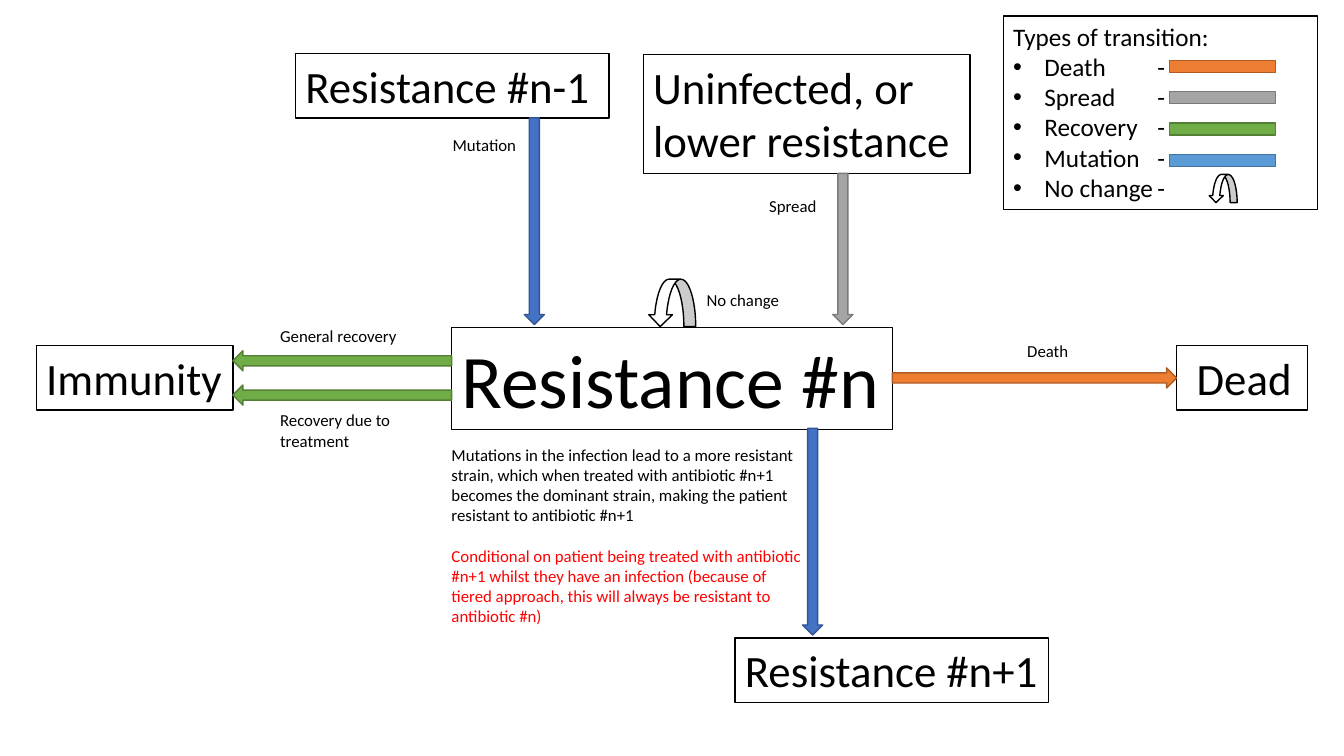
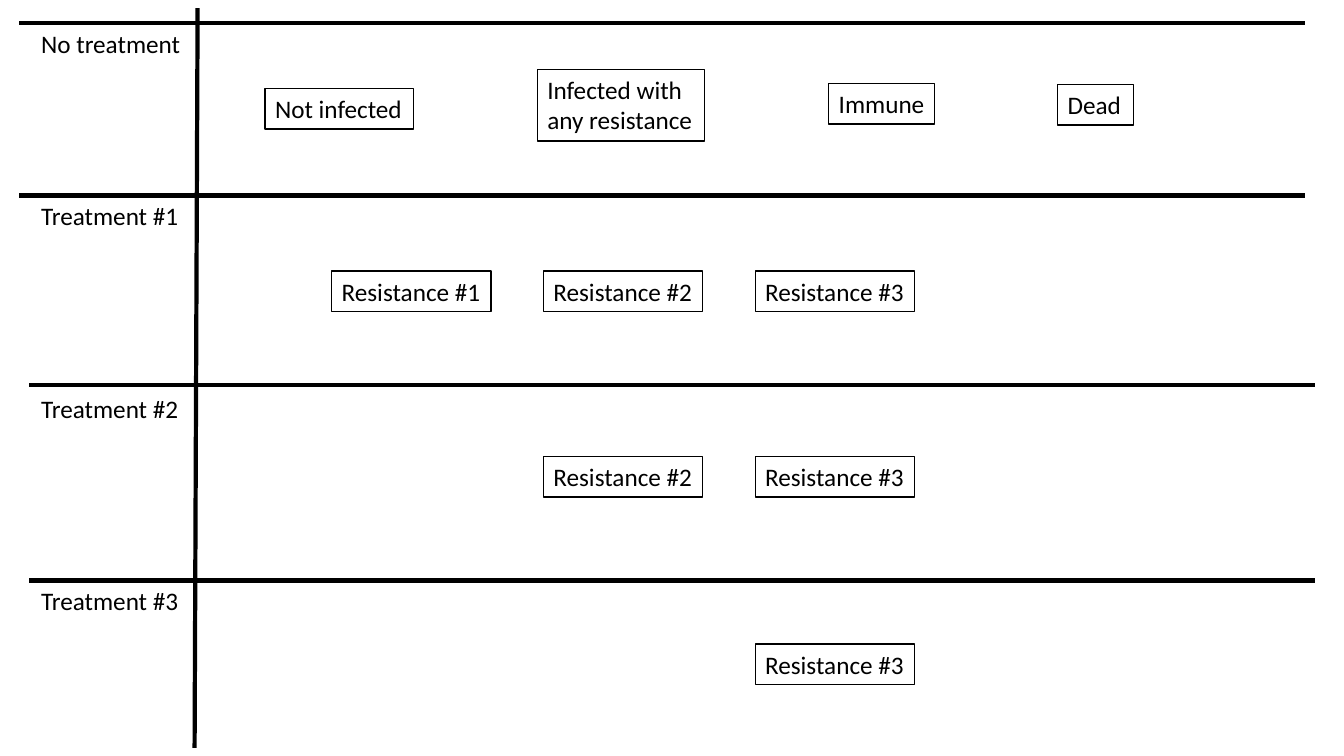
from lxml import etree
from pptx import Presentation
from pptx.dml.color import RGBColor
from pptx.enum.shapes import MSO_CONNECTOR, MSO_SHAPE
from pptx.enum.text import MSO_ANCHOR, MSO_AUTO_SIZE, PP_ALIGN
from pptx.oxml.ns import qn
from pptx.util import Inches, Pt

RECTANGLE = MSO_SHAPE.RECTANGLE
DOWN, LEFT, RIGHT = MSO_SHAPE.DOWN_ARROW, MSO_SHAPE.LEFT_ARROW, MSO_SHAPE.RIGHT_ARROW
LOOP = MSO_SHAPE.CURVED_RIGHT_ARROW
STRAIGHT = MSO_CONNECTOR.STRAIGHT
TOP = MSO_ANCHOR.TOP
GROW = MSO_AUTO_SIZE.SHAPE_TO_FIT_TEXT
ALIGN_LEFT = PP_ALIGN.LEFT

FONT = "Calibri"
COLOURS = {
    "black": "000000", "white": "FFFFFF", "red": "FF0000",
    "death": "ED7D31", "death line": "AF5C24",
    "spread": "A5A5A5", "spread line": "7A7A7A",
    "recovery": "70AD47", "recovery line": "538035",
    "mutation": "4472C4", "mutation line": "325491",
    "mutation key": "5B9BD5", "mutation key line": "43739E",
}


def colour(name):
    return RGBColor.from_string(COLOURS[name])


# Text
def add_text(paragraph, text, size, colour_name="black"):
    paragraph.alignment = ALIGN_LEFT
    run = paragraph.add_run()
    run.text = text
    run.font.name = FONT
    run.font.size = Pt(size)
    run.font.color.rgb = colour(colour_name)


def add_bullet(paragraph, indent, tab):
    properties = paragraph._p.get_or_add_pPr()
    properties.set("marL", str(Inches(indent)))
    properties.set("indent", str(-Inches(indent)))
    etree.SubElement(properties, qn("a:buFont"), typeface="Arial")
    etree.SubElement(properties, qn("a:buChar"), char="•")
    tabs = etree.SubElement(properties, qn("a:tabLst"))
    etree.SubElement(tabs, qn("a:tab"), pos=str(Inches(tab)), algn="l")


def add_label(slide, text, left, top, width, height=0.3, size=12):
    shape = slide.shapes.add_textbox(*map(Inches, (left, top, width, height)))
    frame = shape.text_frame
    frame.word_wrap = True
    frame.auto_size = GROW
    add_text(frame.paragraphs[0], text, size)
    return frame


# Shapes
def add_filled(slide, kind, left, top, width, height, fill="white", line="black"):
    shape = slide.shapes.add_shape(kind, *map(Inches, (left, top, width, height)))
    shape.shadow.inherit = False
    shape.fill.solid()
    shape.fill.fore_color.rgb = colour(fill)
    shape.line.color.rgb = colour(line)
    shape.line.width = Pt(1)
    return shape


def add_box(slide, text, left, top, width, height, size):
    frame = add_filled(slide, RECTANGLE, left, top, width, height).text_frame
    frame.word_wrap = True
    frame.auto_size = GROW
    frame.vertical_anchor = TOP
    frame.margin_right = 0
    add_text(frame.paragraphs[0], text, size)
    return frame


def add_transition(slide, kind, name, left, top, width, height):
    add_filled(slide, kind, left, top, width, height, name, name + " line")


def add_loop(slide, left, top, size):
    add_filled(slide, LOOP, left, top, size, size).rotation = 90


def add_rule(slide, start_x, start_y, end_x, end_y):
    rule = slide.shapes.add_connector(
        STRAIGHT, *map(Inches, (start_x, start_y, end_x, end_y)))
    rule.line.color.rgb = colour("black")
    rule.line.width = Pt(3)
    etree.SubElement(rule._element.spPr, qn("a:effectLst"))


# Slide 1: transitions between states
def add_legend(slide):
    frame = add_box(slide, "Types of transition:", 9.95, 0.16, 3.12, 1.92, 18)
    for entry in ("Death", "Spread", "Recovery", "Mutation", "No change"):
        paragraph = frame.add_paragraph()
        add_bullet(paragraph, indent=0.31, tab=1.43)
        add_text(paragraph, entry + "\t-", 18)
    for row, name in enumerate(("death", "spread", "recovery", "mutation key")):
        add_transition(slide, RECTANGLE, name, 11.6, 0.6 + 0.31 * row, 1.05, 0.12)
    add_loop(slide, 11.99, 1.73, 0.28)


def build_transitions(slide):
    # States
    add_box(slide, "Resistance #n", 4.48, 3.25, 4.37, 1.01, 54)
    for text, left, top, width, height in (
        ("Resistance #n+1", 7.29, 6.33, 3.11, 0.64),
        ("Resistance #n-1", 2.93, 0.53, 3.11, 0.64),
        (" Dead", 11.67, 3.43, 1.3, 0.64),
        ("Immunity", 0.36, 3.43, 1.95, 0.64),
        ("Uninfected, or lower resistance", 6.38, 0.54, 3.24, 1.18),
    ):
        add_box(slide, text, left, top, width, height, 32)

    # Arrows
    for kind, name, left, top, width, height in (
        (DOWN, "mutation", 5.2, 1.17, 0.2, 2.05),
        (DOWN, "mutation", 7.96, 4.25, 0.2, 2.05),
        (DOWN, "spread", 8.26, 1.72, 0.2, 1.5),
        (RIGHT, "death", 8.85, 3.65, 2.82, 0.2),
        (LEFT, "recovery", 2.31, 3.48, 2.17, 0.2),
        (LEFT, "recovery", 2.31, 3.82, 2.17, 0.2),
    ):
        add_transition(slide, kind, name, left, top, width, height)
    add_loop(slide, 6.43, 2.77, 0.47)

    # Arrow labels
    for text, left, top, width in (
        ("General recovery", 2.68, 3.18, 1.45),
        ("Death", 10.09, 3.33, 0.63),
        ("No change", 6.91, 2.83, 0.92),
        ("Mutation", 4.39, 1.29, 0.92),
        ("Spread", 7.53, 1.89, 0.92),
    ):
        add_label(slide, text, left, top, width)
    add_label(slide, "Recovery due to treatment", 2.68, 4.02, 1.45, 0.5)

    # Explanation
    frame = add_label(
        slide,
        "Mutations in the infection lead to a more resistant strain, which when "
        "treated with antibiotic #n+1 becomes the dominant strain, making the "
        "patient resistant to antibiotic #n+1",
        4.38, 4.36, 3.67, 1.92)
    condition = frame.add_paragraph()
    condition.space_before = Pt(14.6)
    add_text(
        condition,
        "Conditional on patient being treated with antibiotic #n+1 whilst they "
        "have an infection (because of tiered approach, this will always be "
        "resistant to antibiotic #n)",
        12, "red")
    add_legend(slide)


# Slide 2: states by treatment
def build_treatments(slide):
    for text, label_top, rule_left, rule_top in (
        ("No treatment", 0.23, 0.19, 0.23),
        ("Treatment #1", 1.94, 0.19, 1.94),
        ("Treatment #2", 3.85, 0.29, 3.82),
        ("Treatment #3", 5.76, 0.29, 5.76),
    ):
        add_label(slide, text, 0.31, label_top, 1.61, 0.4, 18)
        add_rule(slide, rule_left, rule_top, rule_left + 12.75, rule_top)
    add_rule(slide, 1.96, 0.08, 1.93, 7.42)

    # Untreated states
    for text, left, top, width, height in (
        ("Not infected", 2.63, 0.88, 1.47, 0.4),
        ("Infected with any resistance", 5.33, 0.69, 1.66, 0.71),
        ("Immune", 8.22, 0.83, 1.05, 0.4),
        ("Dead", 10.49, 0.84, 0.75, 0.4),
    ):
        add_box(slide, text, left, top, width, height, 18)

    # Each treatment leaves its own resistance level and those above it
    for treatment, top in enumerate((2.69, 4.53, 6.39), start=1):
        for level in range(treatment, 4):
            left = 3.29 + 2.1 * (level - 1)
            add_box(slide, f"Resistance #{level}", left, top, 1.58, 0.4, 18)


def main():
    presentation = Presentation()
    presentation.slide_width = Inches(13.33)
    presentation.slide_height = Inches(7.5)
    blank = presentation.slide_layouts[6]
    for build in (build_transitions, build_treatments):
        build(presentation.slides.add_slide(blank))
    presentation.save("out.pptx")


if __name__ == "__main__":
    main()
